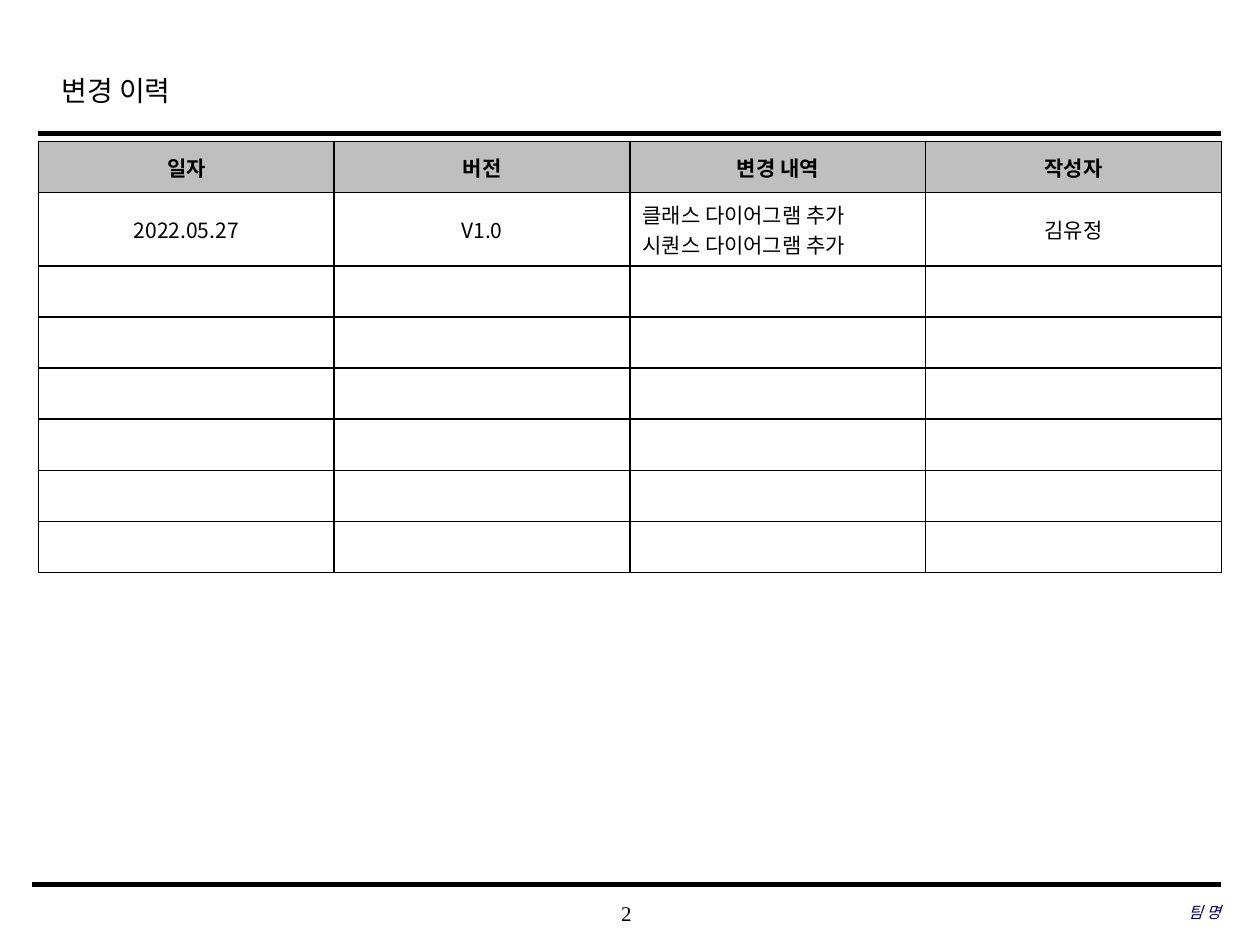
from dataclasses import dataclass

from lxml import etree
from pptx import Presentation
from pptx.dml.color import RGBColor
from pptx.enum import shapes, text
from pptx.oxml import ns
from pptx.util import Pt

BLACK = RGBColor(0x00, 0x00, 0x00)
WHITE = RGBColor(0xFF, 0xFF, 0xFF)
GRAY = RGBColor(0xBF, 0xBF, 0xBF)
NAVY = RGBColor(0x00, 0x00, 0x66)
SERIF = "Times New Roman"
KOREAN = "Noto Sans CJK KR"
LEFT, CENTER, RIGHT = text.PP_ALIGN.LEFT, text.PP_ALIGN.CENTER, text.PP_ALIGN.RIGHT

HEADERS = ["일자", "버전", "변경 내역", "작성자"]
HISTORY = [["2022.05.27", "V1.0", "클래스 다이어그램 추가\v시퀀스 다이어그램 추가", "김유정"]]
ROW_COUNT = 8
ROW_HEIGHT = 29.2
TWO_LINE_ROW_HEIGHT = 42
COLUMN_WIDTH = 169
NOTES_COLUMN = 2


@dataclass
class Rule:
    left: float
    right: float
    top: float
    weight: float


@dataclass
class FooterText:
    words: str
    left: float
    top: float
    width: float
    size: float
    color: RGBColor
    align: text.PP_ALIGN
    italic: bool = False


RULES = [Rule(22, 697.5, 76.3, 2.5), Rule(18, 697.5, 505.5, 3)]
FOOTERS = [
    FooterText("2", 283, 510, 150, 12, BLACK, CENTER),
    FooterText("팀 명", 477.5, 509, 220, 9, NAVY, RIGHT, italic=True),
]


def style_paragraph(para, size: float, color: RGBColor, name: str, align) -> None:
    para.alignment = align
    para.font.size = Pt(size)
    para.font.color.rgb = color
    para.font.name = name
    east_asian = etree.SubElement(para.font._element, ns.qn("a:ea"))
    east_asian.set("typeface", KOREAN)


def add_rule(page, rule: Rule) -> None:
    line = page.shapes.add_connector(
        shapes.MSO_CONNECTOR.STRAIGHT,
        Pt(rule.left), Pt(rule.top), Pt(rule.right), Pt(rule.top))
    line.line.color.rgb = BLACK
    line.line.width = Pt(rule.weight)
    etree.SubElement(line._element.spPr, ns.qn("a:effectLst"))


def add_footer(page, footer: FooterText) -> None:
    box = page.shapes.add_textbox(
        Pt(footer.left), Pt(footer.top), Pt(footer.width), Pt(24))
    frame = box.text_frame
    frame.word_wrap = True
    frame.vertical_anchor = text.MSO_ANCHOR.MIDDLE
    frame.margin_left = frame.margin_right = frame.margin_top = frame.margin_bottom = 0
    para = frame.paragraphs[0]
    para.text = footer.words
    style_paragraph(para, footer.size, footer.color, SERIF, footer.align)
    para.font.italic = footer.italic


def add_title(page) -> None:
    title = page.shapes.title
    title.left, title.top, title.width, title.height = Pt(28), Pt(35.5), Pt(543.5), Pt(36)
    title.text_frame.vertical_anchor = text.MSO_ANCHOR.MIDDLE
    title.text_frame.margin_top = 0
    title.text_frame.margin_bottom = Pt(7)
    para = title.text_frame.paragraphs[0]
    para.text = "변경 이력"
    para.line_spacing = 1.2
    style_paragraph(para, 16, BLACK, SERIF, LEFT)


def add_borders(cell) -> None:
    """Put a thin black line on all four sides, ahead of the cell's fill."""
    properties = cell._tc.get_or_add_tcPr()
    for position, side in enumerate(("lnL", "lnR", "lnT", "lnB")):
        border = etree.Element(ns.qn(f"a:{side}"), w=str(Pt(1)))
        fill = etree.SubElement(border, ns.qn("a:solidFill"))
        etree.SubElement(fill, ns.qn("a:srgbClr"), val=str(BLACK))
        properties.insert(position, border)


def fill_cell(cell, words: str, is_header: bool, align) -> None:
    cell.vertical_anchor = text.MSO_ANCHOR.MIDDLE
    cell.fill.solid()
    cell.fill.fore_color.rgb = GRAY if is_header else WHITE
    add_borders(cell)
    para = cell.text_frame.paragraphs[0]
    para.text = words
    style_paragraph(para, 12, BLACK, KOREAN, align)
    para.font.bold = is_header
    if not words:
        etree.SubElement(para._p, ns.qn("a:endParaRPr"), sz="1200")


def add_history_table(page) -> None:
    column_count = len(HEADERS)
    blank_rows = [[""] * column_count] * (ROW_COUNT - 1 - len(HISTORY))
    rows = [HEADERS, *HISTORY, *blank_rows]
    heights = [TWO_LINE_ROW_HEIGHT if "\v" in entries[NOTES_COLUMN] else ROW_HEIGHT
               for entries in rows]
    table = page.shapes.add_table(
        ROW_COUNT, column_count, Pt(22), Pt(80.8),
        Pt(COLUMN_WIDTH * column_count), Pt(sum(heights))).table
    for column in table.columns:
        column.width = Pt(COLUMN_WIDTH)
    for row_index, (entries, height) in enumerate(zip(rows, heights)):
        table.rows[row_index].height = Pt(height)
        is_header = row_index == 0
        for column_index, words in enumerate(entries):
            is_note = column_index == NOTES_COLUMN and not is_header
            fill_cell(table.cell(row_index, column_index), words, is_header,
                      LEFT if is_note else CENTER)


def main() -> None:
    deck = Presentation()
    deck.slide_width, deck.slide_height = Pt(720), Pt(540)
    page = deck.slides.add_slide(deck.slide_layouts.get_by_name("Title Only"))
    for rule in RULES:
        add_rule(page, rule)
    add_title(page)
    for footer in FOOTERS:
        add_footer(page, footer)
    add_history_table(page)
    deck.save("out.pptx")


if __name__ == "__main__":
    main()
